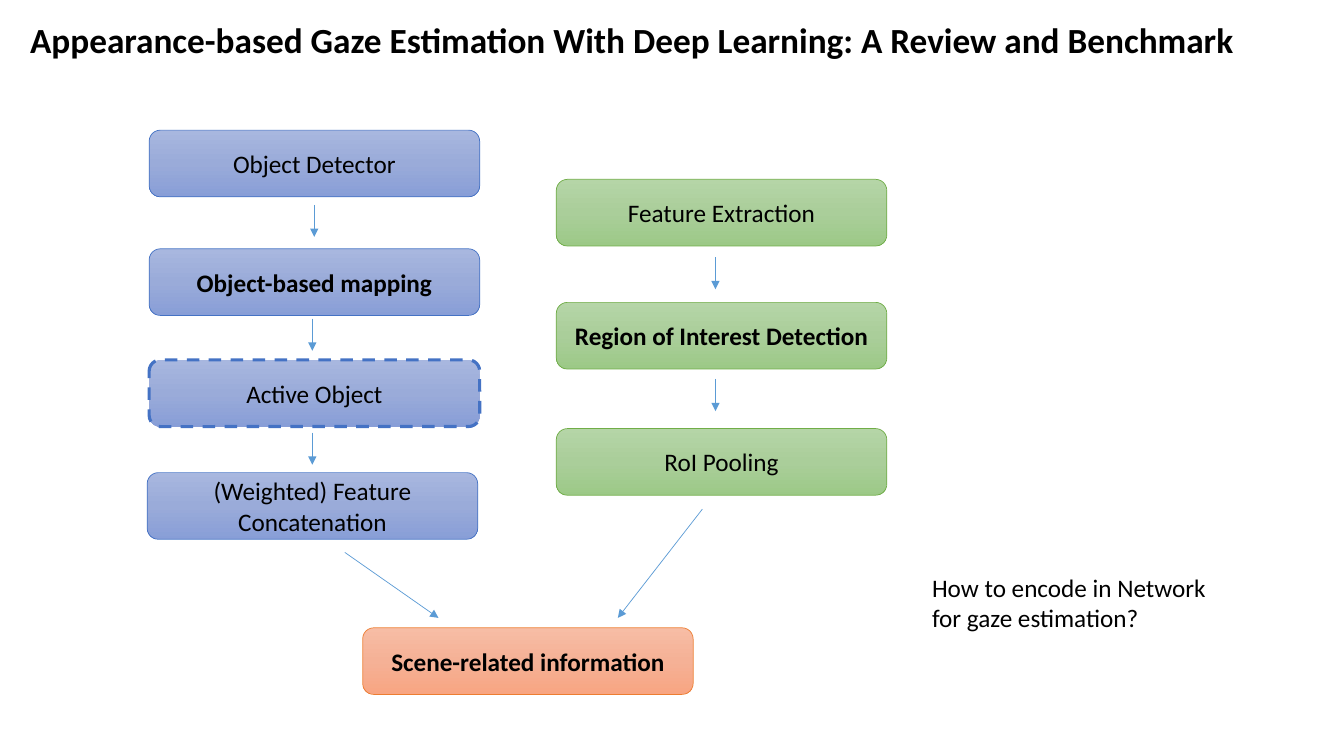
from copy import deepcopy

from lxml import etree
from pptx import Presentation
from pptx import util as u
from pptx.dml.color import RGBColor
from pptx.enum import dml, shapes, text
from pptx.oxml.ns import qn

COLORS = {"text": "000000", "arrow": "5B9BD5"}
THEMES = {
    "object": {"fill": ("A8B7DF", "9AABD9", "889ED7"), "line": "4472C4"},
    "region": {"fill": ("B5D5A7", "AACE9A", "9CC987"), "line": "70AD47"},
    "scene": {"fill": ("F7BDA5", "F5B196", "F8A582"), "line": "ED7D31"},
}
STEP_WIDTH, STEP_HEIGHT = 8.33, 1.68
ARROW_LENGTH = 0.81


def rgb(value):
    return RGBColor.from_string(value)


def write(frame, wording, size=18, bold=False, align=text.PP_ALIGN.LEFT):
    frame.word_wrap = True
    paragraph = frame.paragraphs[0]
    paragraph.text = wording
    paragraph.alignment = align
    paragraph.font.name = "Calibri"
    paragraph.font.size = u.Pt(size)
    paragraph.font.bold = bold
    paragraph.font.color.rgb = rgb(COLORS["text"])
    return paragraph


def add_label(slide, box, wording, **style):
    frame = slide.shapes.add_textbox(*map(u.Cm, box)).text_frame
    return frame, write(frame, wording, **style)


def add_title(slide, box, wording):
    frame, paragraph = add_label(slide, box, wording, size=25.2, bold=True)
    frame.vertical_anchor = text.MSO_ANCHOR.MIDDLE
    paragraph.line_spacing = 0.9


def shade(step, colors):
    step.fill.gradient()
    step.fill.gradient_angle = 270
    stop_list = step._element.spPr.find(".//" + qn("a:gsLst"))
    stop_list.insert(1, deepcopy(stop_list[0]))
    for stop, color, position in zip(step.fill.gradient_stops, colors, (0, 0.5, 1)):
        stop.color.rgb = rgb(color)
        stop.position = position


def add_step(slide, left, top, wording, theme, bold=False, dashed=False):
    step = slide.shapes.add_shape(
        shapes.MSO_SHAPE.ROUNDED_RECTANGLE,
        *map(u.Cm, (left, top, STEP_WIDTH, STEP_HEIGHT)))
    step.shadow.inherit = False
    shade(step, THEMES[theme]["fill"])
    step.line.color.rgb = rgb(THEMES[theme]["line"])
    step.line.width = u.Pt(2.25 if dashed else 0.5)
    if dashed:
        step.line.dash_style = dml.MSO_LINE.DASH
    step.text_frame.vertical_anchor = text.MSO_ANCHOR.MIDDLE
    write(step.text_frame, wording, bold=bold, align=text.PP_ALIGN.CENTER)


def add_arrow(slide, x1, y1, x2, y2):
    arrow = slide.shapes.add_connector(
        shapes.MSO_CONNECTOR.STRAIGHT, *map(u.Cm, (x1, y1, x2, y2)))
    arrow.line.color.rgb = rgb(COLORS["arrow"])
    arrow.line.width = u.Pt(0.5)
    etree.SubElement(arrow.line._get_or_add_ln(), qn("a:tailEnd"), type="triangle")
    etree.SubElement(arrow._element.spPr, qn("a:effectLst"))


def add_branch(slide, left, top, theme, steps, arrows):
    for dx, dy, wording, style in steps:
        add_step(slide, left + dx, top + dy, wording, theme, **style)
    for dx, dy in arrows:
        x, y = left + dx, top + dy
        add_arrow(slide, x, y, x, y + ARROW_LENGTH)


def main():
    deck = Presentation()
    deck.slide_width, deck.slide_height = u.Cm(33.87), u.Cm(19.05)
    slide = deck.slides.add_slide(deck.slide_layouts[6])

    add_title(slide, (0.51, 0.38, 31.57, 1.35),
              "Appearance-based Gaze Estimation With Deep Learning: A Review and Benchmark")
    add_label(slide, (23.24, 14.3, 8, 1.8),
              "How to encode in Network for gaze estimation?")

    add_branch(slide, 3.76, 3.28, "object", [
        (0, 0, "Object Detector", {}),
        (0, 2.99, "Object-based mapping", {"bold": True}),
        (0, 5.79, "Active Object", {"dashed": True}),
        (-0.05, 8.63, "(Weighted) Feature Concatenation", {}),
    ], [(4.16, 1.88), (4.11, 4.75), (4.11, 7.62)])
    add_branch(slide, 14.02, 4.52, "region", [
        (0, 0, "Feature Extraction", {}),
        (0, 3.1, "Region of Interest Detection", {"bold": True}),
        (0, 6.28, "RoI Pooling", {}),
    ], [(4.01, 1.96), (4.01, 5.03)])

    add_arrow(slide, 8.69, 13.92, 11.05, 15.57)
    add_arrow(slide, 17.7, 12.83, 15.57, 15.57)
    add_step(slide, 9.14, 15.82, "Scene-related information", "scene", bold=True)

    deck.save("out.pptx")


if __name__ == "__main__":
    main()
